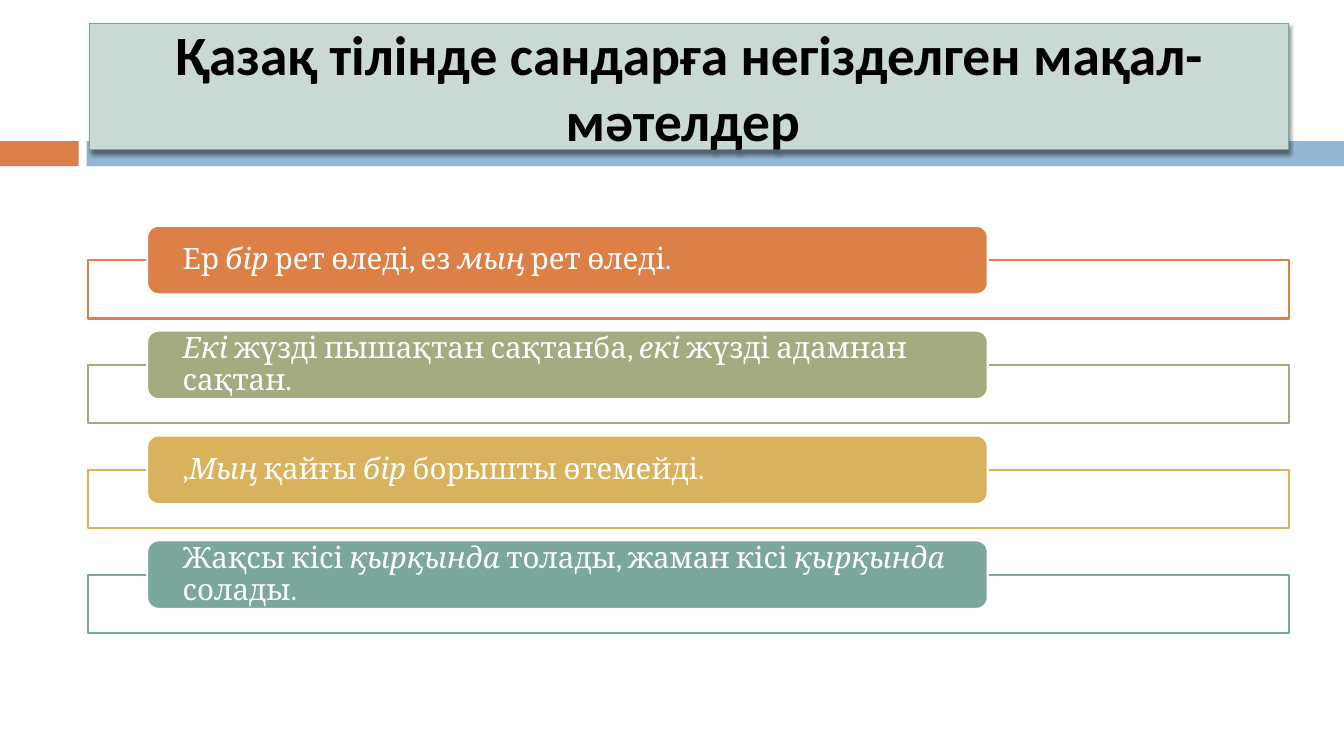
from dataclasses import dataclass

from lxml.etree import SubElement
from pptx import Presentation
from pptx.dml.color import RGBColor
from pptx.enum.shapes import MSO_SHAPE as Preset
from pptx.enum.text import MSO_ANCHOR as Anchor, PP_ALIGN as Align
from pptx.oxml.ns import qn
from pptx.shapes.autoshape import Shape
from pptx.slide import Slide
from pptx.util import Inches, Pt

SLIDE_WIDTH, SLIDE_HEIGHT = Inches(13.33), Inches(7.5)
WHITE, BLACK = "FFFFFF", "000000"
ORANGE, BLUE, OLIVE, GOLD, TEAL = "DD8047", "94B6D2", "A5AB81", "D8B25C", "7BA79D"
ROW_PITCH = 13.87


@dataclass(frozen=True)
class Area:
    """A rectangle in percent of the slide's width and height."""

    left: float
    top: float
    width: float
    height: float

    def lowered(self, distance: float) -> "Area":
        """Return the same area moved down."""
        return Area(self.left, self.top + distance, self.width, self.height)


@dataclass(frozen=True)
class Proverb:
    """A proverb with its number words between asterisks, and its colour."""

    text: str
    color: str


BANDS = [(Area(0, 18.67, 5.85, 3.33), ORANGE), (Area(6.45, 18.67, 93.55, 3.33), BLUE)]
TITLE = Area(6.68, 3.07, 89.18, 16.67)
FRAME = Area(6.53, 34.4, 89.4, 7.73)
PILL = Area(10.95, 29.87, 62.55, 9.07)
PROVERBS = [
    Proverb("Ер *бір* рет өледі, ез *мың* рет өледі.", ORANGE),
    Proverb("*Екі *жүзді пышақтан сақтанба, *екі* жүзді адамнан сақтан.", OLIVE),
    Proverb(",*Мың* қайғы *бір* борышты өтемейді.", GOLD),
    Proverb("Жақсы кісі *қырқында* толады, жаман кісі *қырқында *солады.", TEAL),
]


def rgb(color: str) -> RGBColor:
    """Turn a hex string into a colour."""
    return RGBColor.from_string(color)


def add_box(page: Slide, area: Area, fill: str, line: str = "", weight: float = 1.5,
            preset: Preset = Preset.RECTANGLE) -> Shape:
    """Draw a filled shape, outlined if a line colour is given."""
    box = page.shapes.add_shape(
        preset,
        round(SLIDE_WIDTH * area.left / 100), round(SLIDE_HEIGHT * area.top / 100),
        round(SLIDE_WIDTH * area.width / 100), round(SLIDE_HEIGHT * area.height / 100))
    box.shadow.inherit = False
    box.fill.solid()
    box.fill.fore_color.rgb = rgb(fill)
    if line:
        box.line.color.rgb = rgb(line)
        box.line.width = Pt(weight)
    else:
        box.line.fill.background()
    return box


def set_opacity(box: Shape, percent: int) -> None:
    """Make the fill of a box partly transparent."""
    color = box.fill._xPr.find(qn("a:solidFill"))[0]
    SubElement(color, qn("a:alpha"), val=str(percent * 1000))


def drop_shadow(box: Shape) -> None:
    """Give a box a soft shadow below it."""
    effects = box._element.spPr.find(qn("a:effectLst"))
    shadow = SubElement(effects, qn("a:outerShdw"), blurRad=str(Pt(3)),
                        dist=str(Pt(2.4)), dir="5400000", rotWithShape="0")
    color = SubElement(shadow, qn("a:srgbClr"), val=BLACK)
    SubElement(color, qn("a:alpha"), val="45000")


def write(box: Shape, text: str, font: str, size: float, color: str,
          align: Align, bold: bool = False, spacing: float = 1.0) -> None:
    """Write one paragraph, with the parts between asterisks in italics."""
    frame = box.text_frame
    frame.word_wrap = True
    frame.vertical_anchor = Anchor.MIDDLE
    para = frame.paragraphs[0]
    para.alignment = align
    para.line_spacing = spacing
    for index, part in enumerate(text.split("*")):
        if part:
            span = para.add_run()
            span.text = part
            span.font.name = font
            span.font.size = Pt(size)
            span.font.bold = bold
            span.font.italic = index % 2 == 1
            span.font.color.rgb = rgb(color)


def add_title(page: Slide) -> None:
    """Draw the title panel."""
    box = add_box(page, TITLE, "CBD9D5", TEAL, 0.79)
    drop_shadow(box)
    write(box, "Қазақ тілінде сандарға негізделген мақал-мәтелдер ",
          "Calibri", 39.6, BLACK, Align.CENTER, bold=True)


def add_proverb(page: Slide, row: int, proverb: Proverb) -> None:
    """Draw one proverb on its pill over an outlined frame."""
    offset = row * ROW_PITCH
    set_opacity(add_box(page, FRAME.lowered(offset), WHITE, proverb.color), 90)
    pill = add_box(page, PILL.lowered(offset), proverb.color, WHITE,
                   preset=Preset.ROUNDED_RECTANGLE)
    frame = pill.text_frame
    frame.margin_left = frame.margin_right = Inches(0.32)
    frame.margin_top = frame.margin_bottom = 0
    write(pill, proverb.text, "Cambria", 21, WHITE, Align.LEFT, spacing=0.9)


def main() -> None:
    """Build and save the slide."""
    deck = Presentation()
    deck.slide_width, deck.slide_height = SLIDE_WIDTH, SLIDE_HEIGHT
    page = deck.slides.add_slide(deck.slide_layouts[6])
    for area, color in BANDS:
        add_box(page, area, color)
    add_title(page)
    for row, proverb in enumerate(PROVERBS):
        add_proverb(page, row, proverb)
    deck.save("out.pptx")


if __name__ == "__main__":
    main()
